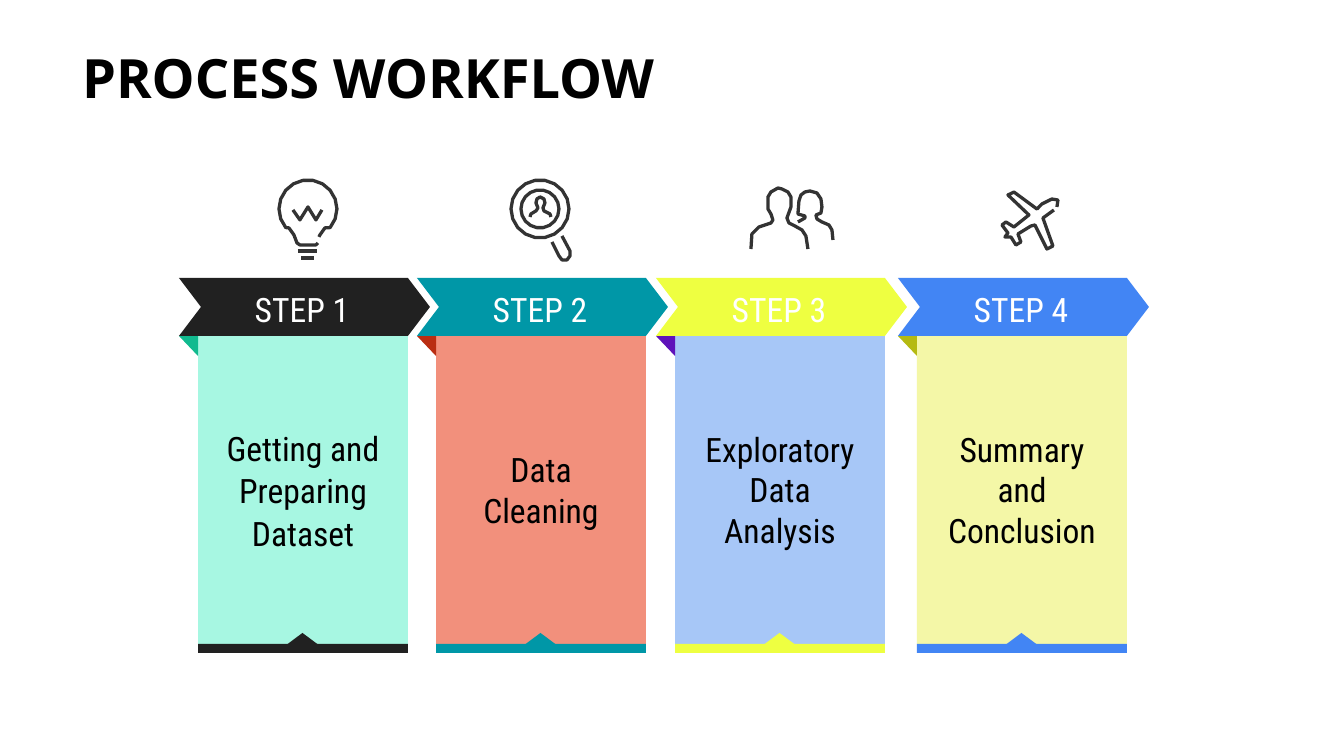
import math

from pptx import Presentation
from pptx.dml.color import RGBColor
from pptx.enum.shapes import MSO_SHAPE
from pptx.enum.text import MSO_ANCHOR, PP_ALIGN
from pptx.util import Emu, Pt

RECTANGLE = MSO_SHAPE.RECTANGLE
TRIANGLE = MSO_SHAPE.ISOSCELES_TRIANGLE
RIGHT_TRIANGLE = MSO_SHAPE.RIGHT_TRIANGLE
CHEVRON = MSO_SHAPE.CHEVRON
TOP, MIDDLE = MSO_ANCHOR.TOP, MSO_ANCHOR.MIDDLE
LEFT, CENTER = PP_ALIGN.LEFT, PP_ALIGN.CENTER

EMU_PER_PX = 914400 / 134.4
TITLE_FONT, BODY_FONT = "Open Sans", "Roboto Condensed"
BLACK, WHITE, ICON_COLOR = "000000", "FFFFFF", "333333"
COLUMN_TOP, COLUMN_WIDTH = 278, 251

STEPS = [
    (179, "STEP 1", "Getting and Preparing Dataset", "212121", "A7F7E2", "11BA8F", 1.05),
    (417, "STEP 2", "Data Cleaning", "0097A7", "F2907C", "BA2E12", 1.0),
    (656, "STEP 3", "Exploratory Data Analysis", "EEFF41", "A7C7F7", "5F12BA", 1.0),
    (898, "STEP 4", "Summary and Conclusion", "4285F4", "F4F7A7", "B5BA12", 1.0),
]


def px(value):
    """Turn pixels into EMU."""
    return Emu(round(value * EMU_PER_PX))


def color(hex_code):
    """Turn a hex string into a colour."""
    return RGBColor.from_string(hex_code)


def write_text(shape, text, *, size, font, fill, bold=False, align=CENTER,
               anchor=MIDDLE, inset=(13, 13), spacing=1.0):
    """Write one formatted paragraph into a shape."""
    frame = shape.text_frame
    frame.word_wrap = True
    frame.vertical_anchor = anchor
    frame.margin_left = frame.margin_right = px(inset[0])
    frame.margin_top = frame.margin_bottom = px(inset[1])
    paragraph = frame.paragraphs[0]
    paragraph.alignment = align
    paragraph.line_spacing = spacing
    run = paragraph.add_run()
    run.text = text
    run.font.size = Pt(size)
    run.font.name = font
    run.font.bold = bold
    run.font.color.rgb = color(fill)


def add_block(shapes, kind, left, top, width, height, fill):
    """Add a filled preset shape without outline or shadow."""
    shape = shapes.add_shape(kind, px(left), px(top), px(width), px(height))
    shape.shadow.inherit = False
    shape.fill.solid()
    shape.fill.fore_color.rgb = color(fill)
    shape.line.fill.background()
    return shape


def add_title(slide, left, top, width, height):
    """Place the slide title in its box."""
    title = slide.shapes.add_textbox(px(left), px(top), px(width), px(height))
    write_text(title, "PROCESS WORKFLOW", size=29, font=TITLE_FONT, fill=BLACK,
               bold=True, align=LEFT)


def add_step(slide, left, top, label, description, accent, panel, fold, spacing):
    """Place one step column with its banner, panel and footer."""
    shapes = slide.shapes.add_group_shape().shapes
    body = add_block(shapes, RECTANGLE, left + 19, top + 57, 210, 309, panel)
    write_text(body, description, size=18, font=BODY_FONT, fill=BLACK,
               inset=(22, 11), spacing=spacing)
    add_block(shapes, RECTANGLE, left + 19, top + 366, 210, 9, accent)
    add_block(shapes, TRIANGLE, left + 106, top + 355, 35, 13, accent)
    add_block(shapes, RIGHT_TRIANGLE, left, top + 58, 19, 20, fold).rotation = 180
    banner = add_block(shapes, CHEVRON, left, top, COLUMN_WIDTH, 58, accent)
    banner.adjustments[0] = 0.38
    caption = shapes.add_textbox(px(left + 18), px(top + 4), px(210), px(54))
    write_text(caption, label, size=18, font=BODY_FONT, fill=WHITE,
               anchor=TOP, inset=(13, 7))


def arc(center_x, center_y, radius, start=0, end=360):
    """Return points along an arc given in degrees."""
    angles = [math.radians(degrees) for degrees in range(start, end + 1, 20)]
    return [(center_x + radius * math.cos(angle), center_y + radius * math.sin(angle))
            for angle in angles]


def add_icon(slide, left, top, strokes):
    """Draw an outline icon from strokes relative to its corner."""
    contours = [[(px(left + x), px(top + y)) for x, y in stroke] for stroke in strokes]
    builder = slide.shapes.build_freeform(*contours[0][0])
    builder.add_line_segments(contours[0][1:], close=False)
    for contour in contours[1:]:
        builder.move_to(*contour[0])
        builder.add_line_segments(contour[1:], close=False)
    icon = builder.convert_to_shape()
    icon.shadow.inherit = False
    icon.fill.background()
    icon.line.color.rgb = color(ICON_COLOR)
    icon.line.width = Pt(1.75)


BULB = [
    [(40, 63), (38, 65), (22, 65), (19, 63), (16, 55), (11, 48),
     *arc(30, 29, 29, 140, 400), (47, 48), (42, 55), (41, 57)],
    [(15, 30), (22, 40), (30, 27), (38, 40), (44, 30)],
    [(20, 71), (39, 71)],
    [(36, 78), (23, 78)],
]
MAGNIFIER = [
    arc(32, 32, 29),
    arc(32, 32, 19),
    [(44, 65), (51, 79), (54, 83), (59, 83), (62, 79), (62, 74), (54, 59)],
    [(43, 40), (42, 37), (36, 34), (35, 31), (37, 26), (36, 22), (32, 20),
     (29, 22), (28, 26), (30, 31), (28, 34), (23, 37), (22, 40)],
]
PEOPLE = [
    [(47, 34), (54, 30), (54, 28), (47, 26), (48, 13), (50, 7), (54, 4), (59, 3),
     (66, 5), (70, 11), (71, 19), (70, 25), (65, 27), (66, 31), (71, 34), (78, 37),
     (81, 42), (82, 52)],
    [(57, 61), (55, 48), (51, 42), (44, 38), (38, 35), (36, 30), (40, 19), (40, 9),
     (37, 4), (31, 1), (27, 0), (20, 4), (17, 9), (17, 21), (20, 26), (22, 32),
     (20, 35), (8, 39), (1, 46), (0, 61)],
]
PLANE = [
    [(55, 23), (44, 31), (54, 59), (48, 62), (36, 38), (32, 39), (19, 47), (22, 55),
     (17, 58), (12, 50), (6, 50), (9, 46), (3, 38), (7, 35), (15, 40), (30, 28),
     (9, 8), (15, 5), (38, 22), (43, 17), (53, 12), (59, 13), (58, 20)],
]
ICONS = [(278, 180, BULB), (508, 177, MAGNIFIER), (751, 188, PEOPLE), (999, 187, PLANE)]


def main():
    """Build and save the workflow slide."""
    presentation = Presentation()
    presentation.slide_width, presentation.slide_height = px(1344), px(756)
    slide = presentation.slides.add_slide(presentation.slide_layouts[6])
    add_title(slide, 69, 23, 1207, 108)
    for left, top, strokes in ICONS:
        add_icon(slide, left, top, strokes)
    for left, *details in STEPS:
        add_step(slide, left, COLUMN_TOP, *details)
    presentation.save("out.pptx")


if __name__ == "__main__":
    main()
